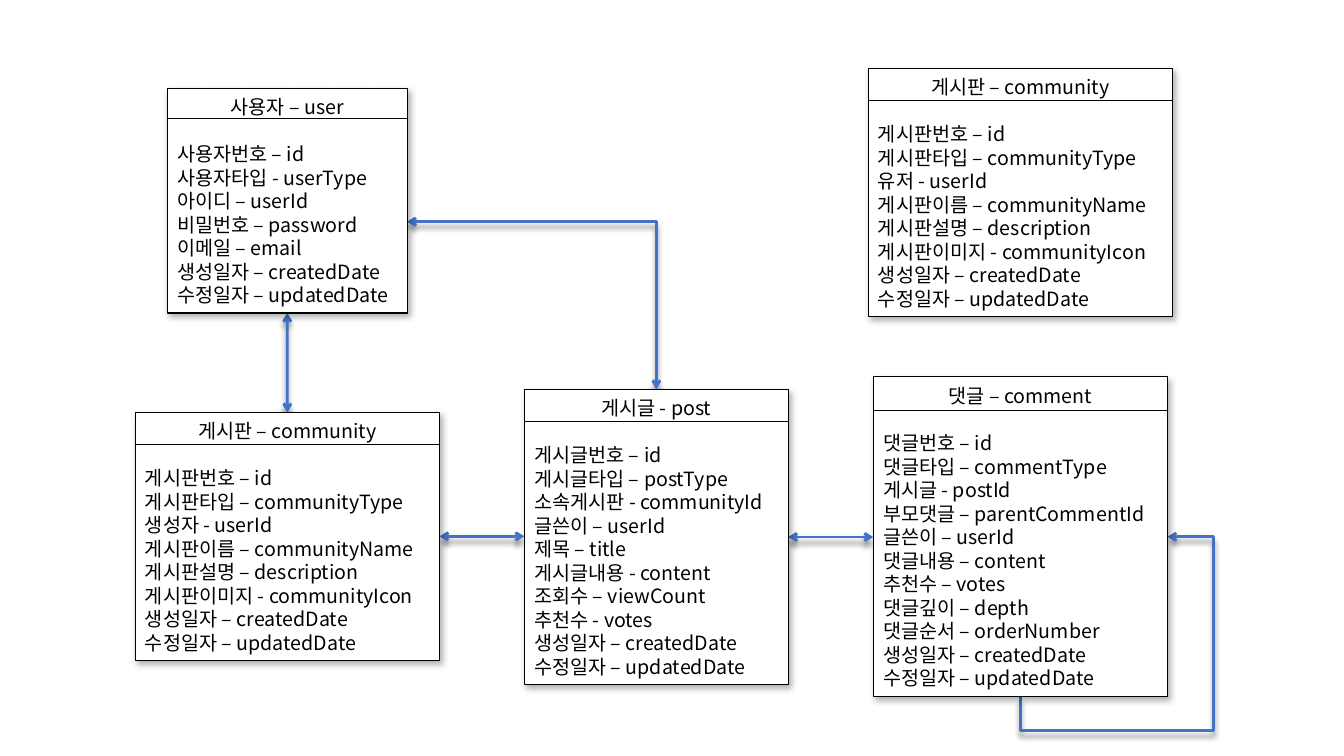
from lxml import etree
from pptx import Presentation
from pptx import util as u
from pptx.dml.color import RGBColor
from pptx.enum import shapes, text
from pptx.oxml.ns import qn

WIDTH, HEIGHT = u.Inches(13.33), u.Inches(7.5)
FONT = "Noto Sans CJK KR"
BLACK, WHITE, BLUE = "000000", "FFFFFF", "4472C4"
ROW, PADDING = 3.15, 1.33
LINK_SHADOW = (43, 4, 4, 90)
ENTITY_SHADOW = (30, 4.5, 2.6, 53)

ENTITIES = {
    "board": (10.05, 54.53, 22.66, 4.27, "게시판 – community", [
        "게시판번호 – id", "게시판타입 – communityType", "생성자 - userId",
        "게시판이름 – communityName", "게시판설명 – description",
        "게시판이미지 - communityIcon", "생성일자 – createdDate",
        "수정일자 – updatedDate"]),
    "user": (12.45, 11.73, 17.85, 3.87, "사용자 – user", [
        "사용자번호 – id", "사용자타입 - userType", "아이디 – userId",
        "비밀번호 – password", "이메일 – email", "생성일자 – createdDate",
        "수정일자 – updatedDate"]),
    "post": (39.01, 51.47, 19.65, 4.27, "게시글 - post", [
        "게시글번호 – id", "게시글타입 – postType", "소속게시판 - communityId",
        "글쓴이 – userId", "제목 – title", "게시글내용 - content",
        "조회수 – viewCount", "추천수 - votes", "생성일자 – createdDate",
        "수정일자 – updatedDate"]),
    "comment": (64.97, 49.87, 21.9, 4.4, "댓글 – comment", [
        "댓글번호 – id", "댓글타입 – commentType", "게시글 - postId",
        "부모댓글 – parentCommentId", "글쓴이 – userId", "댓글내용 – content",
        "추천수 – votes", "댓글깊이 – depth", "댓글순서 – orderNumber",
        "생성일자 – createdDate", "수정일자 – updatedDate"]),
    "revised_board": (64.59, 9.07, 22.66, 4.27, "게시판 – community", [
        "게시판번호 – id", "게시판타입 – communityType", "유저 - userId",
        "게시판이름 – communityName", "게시판설명 – description",
        "게시판이미지 - communityIcon", "생성일자 – createdDate",
        "수정일자 – updatedDate"]),
}


def across(percent):
    return round(WIDTH * percent / 100)


def down(percent):
    return round(HEIGHT * percent / 100)


def color(value):
    return RGBColor.from_string(value)


def add_child(parent, tag, **attributes):
    child = etree.SubElement(parent, qn(tag))
    for name, value in attributes.items():
        child.set(name, str(value))
    return child


def set_effects(target, shadow=None):
    effects = add_child(target._element.spPr, "a:effectLst")
    if shadow:
        opacity, blur, distance, angle = shadow
        outer = add_child(effects, "a:outerShdw", blurRad=u.Pt(blur),
                          dist=u.Pt(distance), dir=angle * 60000,
                          algn="tl", rotWithShape=0)
        tint = add_child(outer, "a:srgbClr", val=BLACK)
        add_child(tint, "a:alpha", val=opacity * 1000)


def write(paragraph, words, size=14, ink=BLACK, align=text.PP_ALIGN.LEFT, before=0):
    paragraph.alignment = align
    paragraph.space_before = u.Pt(before)
    run = paragraph.add_run()
    run.text = words
    run.font.size = u.Pt(size)
    run.font.color.rgb = color(ink)
    run.font.name = FONT
    add_child(run.font._element, "a:ea", typeface=FONT)


def add_line(parent, start, end, ink, weight, shadow=None, heads=(),
             kind=shapes.MSO_CONNECTOR.STRAIGHT):
    line = parent.shapes.add_connector(kind, *start, *end)
    line.line.color.rgb = color(ink)
    line.line.width = u.Pt(weight)
    stroke = line.line._get_or_add_ln()
    for head in heads:
        add_child(stroke, head, type="arrow")
    set_effects(line, shadow)
    return line


def add_link(slide, start, end, heads=("a:headEnd", "a:tailEnd"), bend=None,
             adjustments=(), turn=0):
    kind = shapes.MSO_CONNECTOR.ELBOW if bend else shapes.MSO_CONNECTOR.STRAIGHT
    link = add_line(slide, start, end, BLUE, 2, LINK_SHADOW, heads, kind)
    if bend:
        properties = link._element.spPr
        geometry = properties.find(qn("a:prstGeom"))
        geometry.set("prst", bend)
        guides = geometry.find(qn("a:avLst"))
        if guides is None:
            guides = add_child(geometry, "a:avLst")
        for number, share in enumerate(adjustments, 1):
            add_child(guides, "a:gd", name=f"adj{number}",
                      fmla=f"val {round(share * 100000)}")
        properties.find(qn("a:xfrm")).set("rot", str(turn * 60000))


def bounds(entity):
    left, top, width, _, _, fields = ENTITIES[entity]
    height = ROW * (len(fields) + 2) + PADDING
    return across(left), down(top), across(width), down(height)


def edge(entity, x_share, y_share):
    left, top, width, height = bounds(entity)
    return round(left + width * x_share), round(top + height * y_share)


def add_entity(slide, entity):
    left, top, width, height = bounds(entity)
    _, _, _, header, title, fields = ENTITIES[entity]
    group = slide.shapes.add_group_shape()
    box = group.shapes.add_shape(shapes.MSO_SHAPE.RECTANGLE, left, top, width, height)
    box.fill.solid()
    box.fill.fore_color.rgb = color(WHITE)
    box.line.color.rgb = color(BLACK)
    box.line.width = u.Pt(0.75)
    set_effects(box, ENTITY_SHADOW)
    frame = box.text_frame
    frame.word_wrap = True
    frame.auto_size = text.MSO_AUTO_SIZE.SHAPE_TO_FIT_TEXT
    write(frame.paragraphs[0], title, align=text.PP_ALIGN.CENTER)
    for index, field in enumerate(fields):
        write(frame.add_paragraph(), field, before=0 if index else 17)
    rule = top + down(header)
    add_line(group, (left, rule), (left + width, rule), BLACK, 0.5)


def add_reply_loop(slide):
    x_start, y_start = edge("comment", 0.5, 1)
    x_end, y_end = edge("comment", 1, 0.5)
    x_middle, y_middle = (x_start + x_end) // 2, (y_start + y_end) // 2
    half_run, half_rise = (x_end - x_start) // 2, (y_start - y_end) // 2
    add_link(slide, (x_middle + half_rise, y_middle + half_run),
             (x_middle - half_rise, y_middle - half_run),
             heads=("a:tailEnd",), bend="bentConnector4",
             adjustments=(-0.21, 1.31), turn=90)


def main():
    deck = Presentation()
    deck.slide_width, deck.slide_height = WIDTH, HEIGHT
    slide = deck.slides.add_slide(deck.slide_layouts[6])
    add_link(slide, edge("user", 0.5, 1), edge("board", 0.5, 0))
    for source, target in (("board", "post"), ("post", "comment")):
        start = edge(source, 1, 0.5)
        add_link(slide, start, (edge(target, 0, 0.5)[0], start[1]))
    add_link(slide, (edge("user", 1, 0)[0], down(29.33)), edge("post", 0.5, 0),
             bend="bentConnector2")
    add_reply_loop(slide)
    for entity in ENTITIES:
        add_entity(slide, entity)
    deck.save("out.pptx")


if __name__ == "__main__":
    main()
